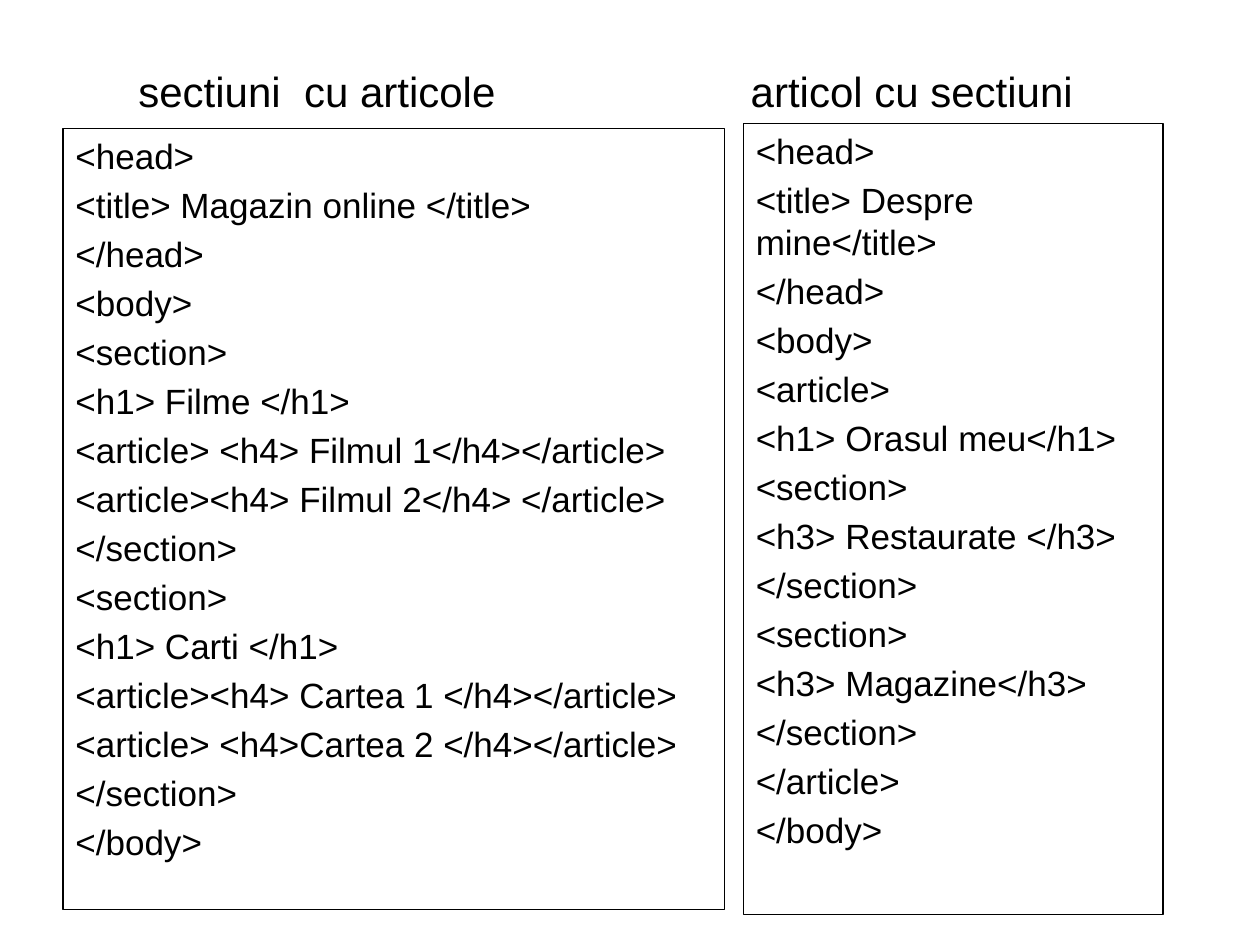
"""Slide comparing sections that hold articles with an article that holds sections."""
from pptx import Presentation, util as u
from pptx.dml.color import RGBColor
from pptx.enum import shapes, text

COLORS = {"ink": "000000", "paper": "FFFFFF"}
INK = RGBColor.from_string(COLORS["ink"])
FONT = "Arial"

SHOP = """<head>
<title> Magazin online </title>
</head>
<body>
<section>
<h1> Filme </h1>
<article> <h4> Filmul 1</h4></article>
<article><h4> Filmul 2</h4> </article>
</section>
<section>
<h1> Carti </h1>
<article><h4> Cartea 1 </h4></article>
<article> <h4>Cartea 2 </h4></article>
</section>
</body>"""

CITY = """<head>
<title> Despre mine</title>
</head>
<body>
<article>
<h1> Orasul meu</h1>
<section>
<h3> Restaurate </h3>
</section>
<section>
<h3> Magazine</h3>
</section>
</article>
</body>"""

CODE_BOXES = [
    (SHOP, (0.5, 1.02, 5.25, 6.2)),
    (CITY, (5.9, 0.98, 3.33, 6.28)),
]
HEADINGS = [
    ("sectiuni  cu articole", 1, 3.07),
    ("articol cu sectiuni", 5.86, 2.86),
]


def write(tf, lines, size, gap=0):
    tf.text = lines
    for p in tf.paragraphs:
        p.alignment = text.PP_ALIGN.LEFT
        p.space_before = u.Pt(gap)
        p.font.name = FONT
        p.font.size = u.Pt(size)
        p.font.color.rgb = INK


prs = Presentation()
prs.slide_width, prs.slide_height = u.Inches(10), u.Inches(7.5)
s = prs.slides.add_slide(prs.slide_layouts[6])
s.background.fill.solid()
s.background.fill.fore_color.rgb = RGBColor.from_string(COLORS["paper"])

for code, box in CODE_BOXES:
    sp = s.shapes.add_shape(shapes.MSO_SHAPE.RECTANGLE, *map(u.Inches, box))
    sp.shadow.inherit = False
    sp.fill.background()
    sp.line.color.rgb = INK
    sp.line.width = u.Pt(0.75)
    tf = sp.text_frame
    tf.word_wrap = True
    tf.vertical_anchor = text.MSO_ANCHOR.TOP
    write(tf, code, 20, gap=4)

for heading, left, width in HEADINGS:
    sp = s.shapes.add_textbox(*map(u.Inches, (left, 0.47, width, 0.5)))
    tf = sp.text_frame
    tf.word_wrap = False
    tf.auto_size = text.MSO_AUTO_SIZE.SHAPE_TO_FIT_TEXT
    write(tf, heading, 24)

prs.save("out.pptx")
